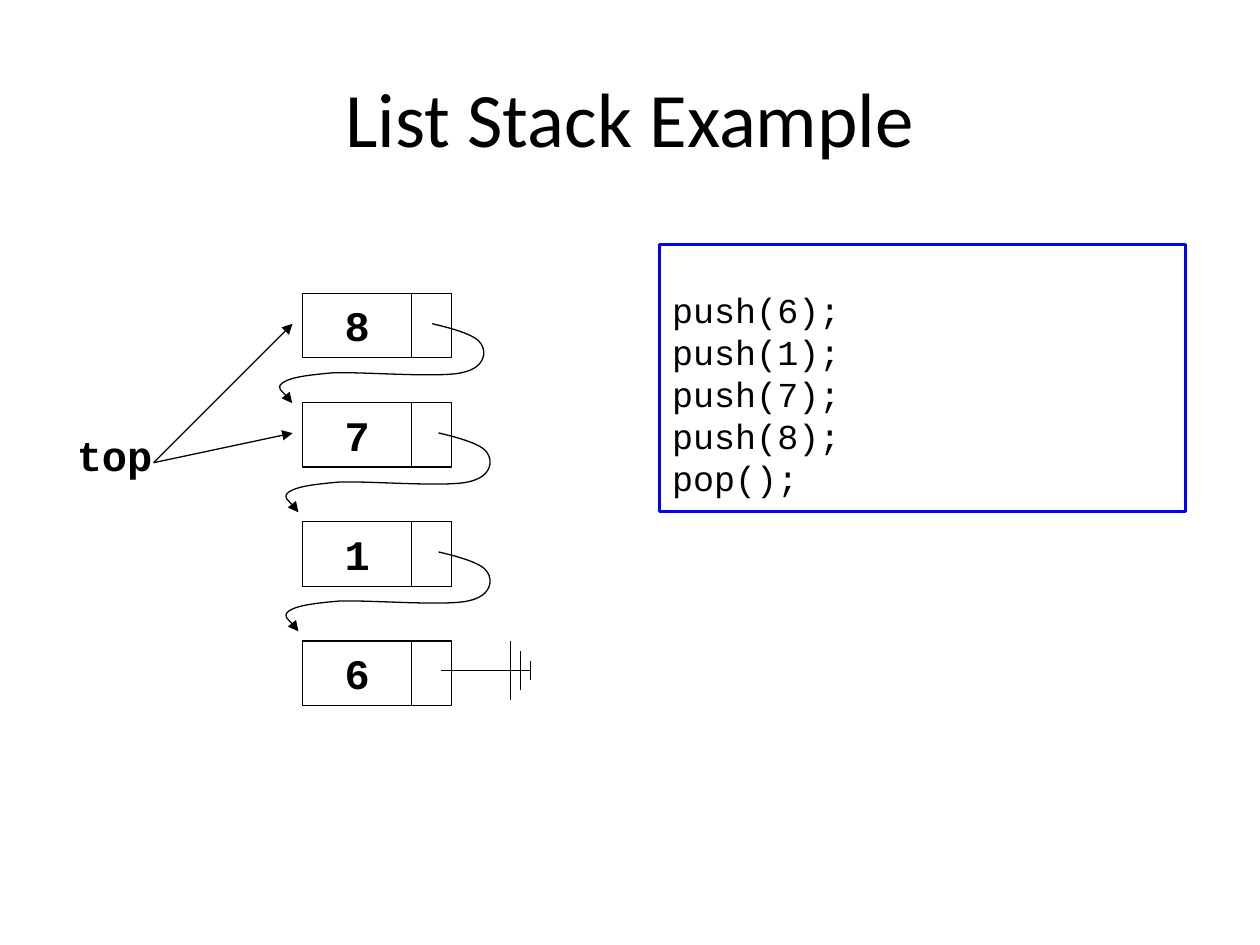
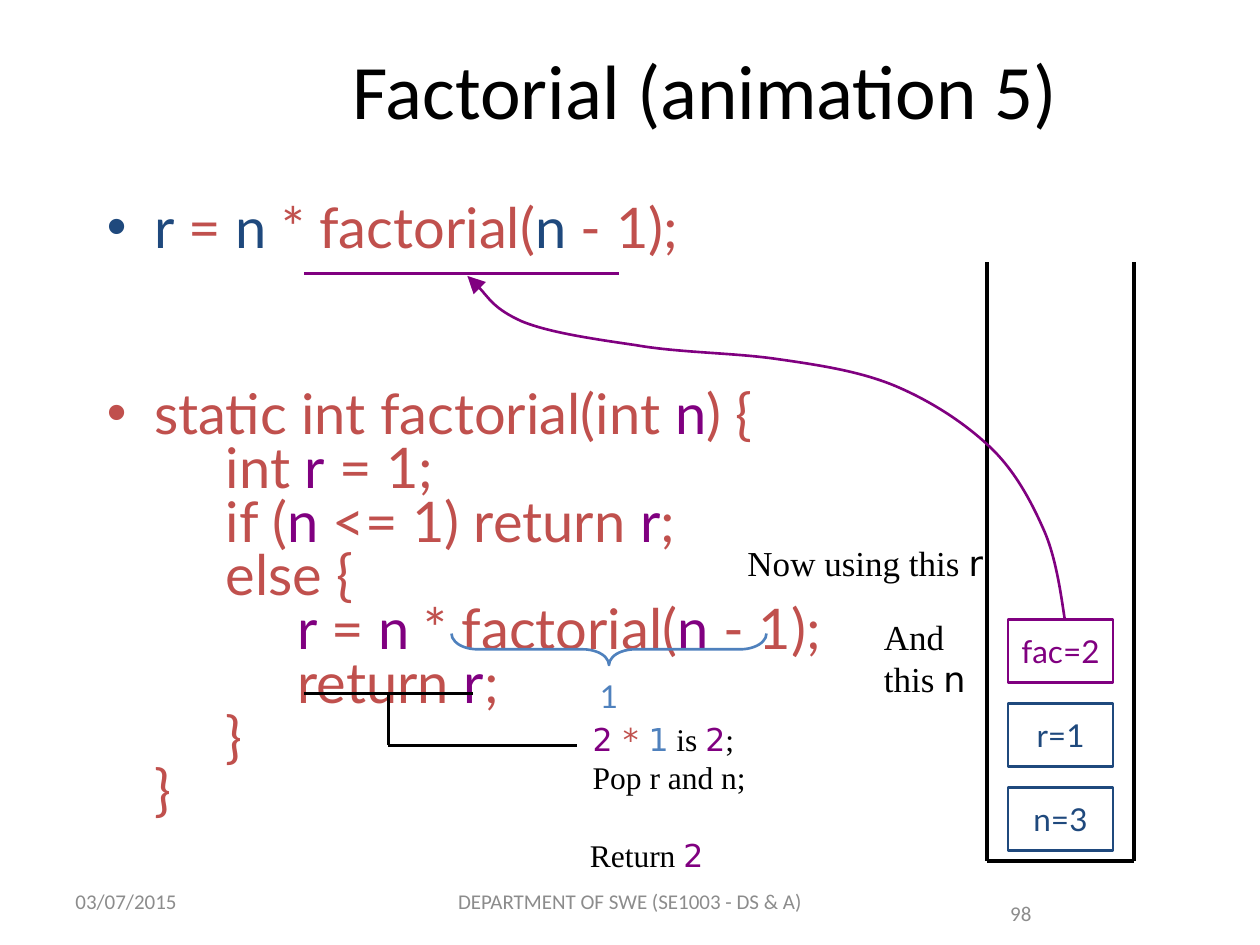
from dataclasses import dataclass
from lxml.etree import SubElement
from pptx import Presentation
from pptx.dml.color import RGBColor
from pptx.enum.shapes import MSO_CONNECTOR, MSO_SHAPE
from pptx.enum.text import MSO_ANCHOR, PP_ALIGN
from pptx.oxml.ns import qn
from pptx.util import Pt


@dataclass(frozen=True)
class Theme:
    black: str = "000000"
    white: str = "FFFFFF"
    gray: str = "8C8C8C"
    frame_blue: str = "0000FF"
    navy: str = "1F497D"
    red: str = "C0504D"
    purple: str = "800080"
    blue: str = "4F81BD"
    heading: str = "Calibri"
    code: str = "Courier New"
    body: str = "Lato"
    serif: str = "Times New Roman"
    symbol: str = "DejaVu Sans"
    title_size: int = 44
    body_size: int = 32
    node_size: int = 24
    code_size: int = 20
    label_size: int = 18
    footer_size: int = 12
    thin: float = 0.75
    medium: float = 1.5
    thick: float = 2.25


theme = Theme()


def write(shape, size, paragraphs, align=PP_ALIGN.LEFT, anchor=MSO_ANCHOR.TOP, bold=False):
    """Fill a shape with paragraphs, each a list of (text, font, colour) runs; newlines become breaks."""
    frame = shape.text_frame
    frame.word_wrap = True
    frame.vertical_anchor = anchor
    for index, runs in enumerate(paragraphs):
        paragraph = frame.paragraphs[0] if index == 0 else frame.add_paragraph()
        paragraph.alignment = align
        for text, font, color in runs:
            for line_number, line in enumerate(text.split("\n")):
                if line_number:
                    paragraph.add_line_break()
                if line:
                    run = paragraph.add_run()
                    run.text = line
                    run.font.size = Pt(size)
                    run.font.name = font
                    run.font.bold = bold
                    run.font.color.rgb = RGBColor.from_string(color)
    return frame


def outline(shape, color, width, arrow_size=None):
    """Set a plain line without shadow, with an optional arrowhead at its end."""
    shape.line.color.rgb = RGBColor.from_string(color)
    shape.line.width = Pt(width)
    properties = shape.element.spPr
    if arrow_size:
        SubElement(properties.find(qn("a:ln")), qn("a:tailEnd"),
                   type="triangle", w=arrow_size, len=arrow_size)
    SubElement(properties, qn("a:effectLst"))


presentation = Presentation()
presentation.slide_width = Pt(720)
presentation.slide_height = Pt(540)
stack_slide, factorial_slide = (
    presentation.slides.add_slide(presentation.slide_layouts[6]) for _ in range(2)
)

# Titles
for slide, title, box in (
    (stack_slide, "List Stack Example", (36, 21.6, 648, 90)),
    (factorial_slide, "Factorial (animation 5)", (96.2, 17.6, 613.4, 66)),
):
    shape = slide.shapes.add_textbox(*map(Pt, box))
    write(shape, theme.title_size, [[(title, theme.heading, theme.black)]],
          PP_ALIGN.CENTER, MSO_ANCHOR.MIDDLE)

# List stack: calls
shapes = stack_slide.shapes
calls = shapes.add_shape(MSO_SHAPE.RECTANGLE, Pt(377), Pt(139.7), Pt(300.4), Pt(152.6))
calls.fill.solid()
calls.fill.fore_color.rgb = RGBColor.from_string(theme.white)
outline(calls, theme.frame_blue, theme.medium)
call_lines = ("push(6);", "push(1);", "push(7);", "push(8);", "pop();")
frame = write(calls, theme.code_size,
              [[(call, theme.code, theme.black)] for call in call_lines])
frame.margin_top = Pt(25.4)

top_label = shapes.add_textbox(Pt(36.8), Pt(241.9), Pt(60), Pt(36))
write(top_label, theme.node_size, [[("top", theme.code, theme.black)]], bold=True)

# List stack: nodes, each a value cell and a link cell
for value, top in (("6", 366.3), ("1", 298.2), ("7", 230.2), ("8", 167.7)):
    for left, width, text in ((172.8, 62.5, value), (235.3, 22.6, "")):
        cell = shapes.add_shape(MSO_SHAPE.RECTANGLE, Pt(left), Pt(top), Pt(width), Pt(36.8))
        cell.fill.background()
        outline(cell, theme.black, theme.thin)
        if text:
            write(cell, theme.node_size, [[(text, theme.code, theme.black)]],
                  PP_ALIGN.CENTER, bold=True)

# Factorial: code
shapes = factorial_slide.shapes
code_box = shapes.add_textbox(Pt(54), Pt(114), Pt(474), Pt(390))
statement = [("r", theme.navy), (" = ", theme.red), ("n ", theme.navy),
             ("* factorial(", theme.red), ("n ", theme.navy), ("- 1);", theme.red)]
method = [
    ("static int factorial(int ", theme.red), ("n", theme.purple),
    (") {\n     int ", theme.red), ("r", theme.purple),
    (" = 1;\n     if (", theme.red), ("n ", theme.purple),
    ("<= 1) return ", theme.red), ("r", theme.purple),
    (";\n     else {\n          ", theme.red), ("r ", theme.purple),
    ("= ", theme.red), ("n", theme.purple), (" * factorial(", theme.red),
    ("n", theme.purple), (" - 1);\n          return ", theme.red),
    ("r", theme.purple), (";\n     }\n}", theme.red),
]
frame = write(code_box, theme.body_size,
              [[(text, theme.body, color) for text, color in runs] for runs in (statement, method)])
for paragraph in frame.paragraphs:
    paragraph.line_spacing = 0.8
    properties = paragraph._p.get_or_add_pPr()
    properties.set("marL", str(Pt(27)))
    properties.set("indent", str(Pt(-27)))
    SubElement(properties, qn("a:buFont"), typeface="Arial")
    SubElement(properties, qn("a:buChar"), char="•")
frame.paragraphs[1].space_before = Pt(75.5)

# Factorial: stack entries and the value under the brace
for entry, color, left, top, framed in (
    ("n=3", theme.navy, 576, 450, True),
    ("r=1", theme.navy, 576, 402, True),
    ("fac=2", theme.purple, 576, 354, True),
    ("1", theme.blue, 318, 379.5, False),
):
    shape = shapes.add_shape(MSO_SHAPE.FLOWCHART_PROCESS, Pt(left), Pt(top), Pt(60), Pt(36))
    shape.fill.background()
    if framed:
        outline(shape, color, theme.medium)
    else:
        shape.line.fill.background()
        shape.shadow.inherit = False
    frame = write(shape, theme.label_size, [[(entry, theme.body, color)]],
                  PP_ALIGN.CENTER, MSO_ANCHOR.MIDDLE)
    frame.word_wrap = False

brace = shapes.add_shape(MSO_SHAPE.LEFT_BRACE, Pt(339), Pt(281), Pt(18), Pt(180))
brace.rotation = 270
brace.adjustments[0] = 0.83
brace.fill.background()
outline(brace, theme.blue, theme.medium)

# Factorial: remarks and footers
top, middle = MSO_ANCHOR.TOP, MSO_ANCHOR.MIDDLE
left, center = PP_ALIGN.LEFT, PP_ALIGN.CENTER
for box, size, align, anchor, runs in (
    ((420, 306, 240, 31), theme.code_size, left, top,
     [("Now using this ", theme.serif, theme.black), ("r", theme.symbol, theme.black)]),
    ((498, 348, 78, 55), theme.code_size, left, top,
     [("And this ", theme.serif, theme.black), ("n", theme.symbol, theme.black)]),
    ((331.6, 408, 131, 65), theme.label_size, left, top,
     [("2 ", theme.symbol, theme.purple), ("* ", theme.symbol, theme.red),
      ("1", theme.symbol, theme.blue), (" is ", theme.serif, theme.black),
      ("2", theme.symbol, theme.purple), (";\nPop r and n;", theme.serif, theme.black)]),
    ((330, 474, 252, 36), theme.label_size, left, top,
     [("Return ", theme.serif, theme.black), ("2", theme.symbol, theme.purple)]),
    ((36, 500.4, 168, 28.8), theme.footer_size, left, middle,
     [("03/07/2015", theme.heading, theme.gray)]),
    ((246, 500.4, 228, 28.8), theme.footer_size, center, middle,
     [("DEPARTMENT OF SWE (SE1003 - DS & A)", theme.heading, theme.gray)]),
    ((570.2, 504, 149.8, 36), theme.footer_size, left, middle,
     [("98", theme.heading, theme.gray)]),
):
    write(shapes.add_textbox(*map(Pt, box)), size, [runs], align, anchor)

# Straight lines: top pointers, ground symbol, stack walls, return bracket, underline
ground_y = 383.3
ground_bars = [(291.6 + 5.75 * i, ground_y - 17 + 5.75 * i,
                291.6 + 5.75 * i, ground_y + 17 - 5.75 * i) for i in range(3)]
for slide, color, width, arrow_size, lines in (
    (stack_slide, theme.black, theme.thin, "med",
     [(87.8, 264.4, 167.2, 247.5), (87.8, 264.4, 167.2, 185)]),
    (stack_slide, theme.black, theme.thin, None,
     [(252, ground_y, 303.1, ground_y), *ground_bars]),
    (factorial_slide, theme.black, theme.thick, None,
     [(564, 150, 564, 492), (564, 492, 648, 492), (648, 492, 648, 150)]),
    (factorial_slide, theme.black, theme.medium, None,
     [(174, 396.2, 270, 396.2), (222, 396.2, 222, 426), (222, 426, 330, 426)]),
    (factorial_slide, theme.purple, theme.medium, None, [(174, 156.2, 354, 156.2)]),
):
    for ends in lines:
        connector = slide.shapes.add_connector(MSO_CONNECTOR.STRAIGHT, *map(Pt, ends))
        outline(connector, color, width, arrow_size)

# Curved arrows: a start point, then two control points and an end point per piece
link_curve = [
    (247, 185), (259.2, 187.9), (272.2, 191.5), (275, 196.6),
    (277.9, 200.9), (277.9, 210.2), (263.5, 213.1), (249.8, 216), (206.6, 212.4), (190.1, 213.1),
    (172.8, 214.6), (165.6, 216), (161.3, 218.9), (157.7, 221.8), (166.3, 228.2), (167, 230.4),
]
result_curve = [
    (608.4, 353.5), (607, 344.9), (604.1, 320.4), (596.9, 303.8),
    (589.7, 287.3), (580.3, 269.3), (565.9, 255.6), (551.5, 241.9), (532.8, 229.7), (512.6, 221),
    (492.5, 212.4), (469.4, 208.8), (444.2, 205.2), (419.8, 201.6), (388.1, 201.6), (363.6, 197.3),
    (339.1, 193.7), (313.9, 190.1), (298.1, 183.6), (282.2, 176.4), (273.6, 162.7), (267.1, 157.7),
]
for slide, color, width, arrow_size, curve, shift_x, shift_y in (
    (stack_slide, theme.black, theme.thin, "med", link_curve, 0, 0),
    (stack_slide, theme.black, theme.thin, "med", link_curve, 3.6, 62.4),
    (stack_slide, theme.black, theme.thin, "med", link_curve, 3.6, 130.4),
    (factorial_slide, theme.purple, theme.medium, "lg", result_curve, 0, 0),
):
    points = [(Pt(x + shift_x), Pt(y + shift_y)) for x, y in curve]
    builder = slide.shapes.build_freeform(*points[0])
    builder.add_line_segments(points[1:], close=False)
    arrow_curve = builder.convert_to_shape()
    segments = list(arrow_curve.element.iter(qn("a:lnTo")))
    for first in range(0, len(segments), 3):
        bezier = SubElement(segments[first].getparent(), qn("a:cubicBezTo"))
        for segment in segments[first:first + 3]:
            bezier.append(segment[0])
            segment.getparent().remove(segment)
    arrow_curve.fill.background()
    outline(arrow_curve, color, width, arrow_size)

presentation.save("out.pptx")
